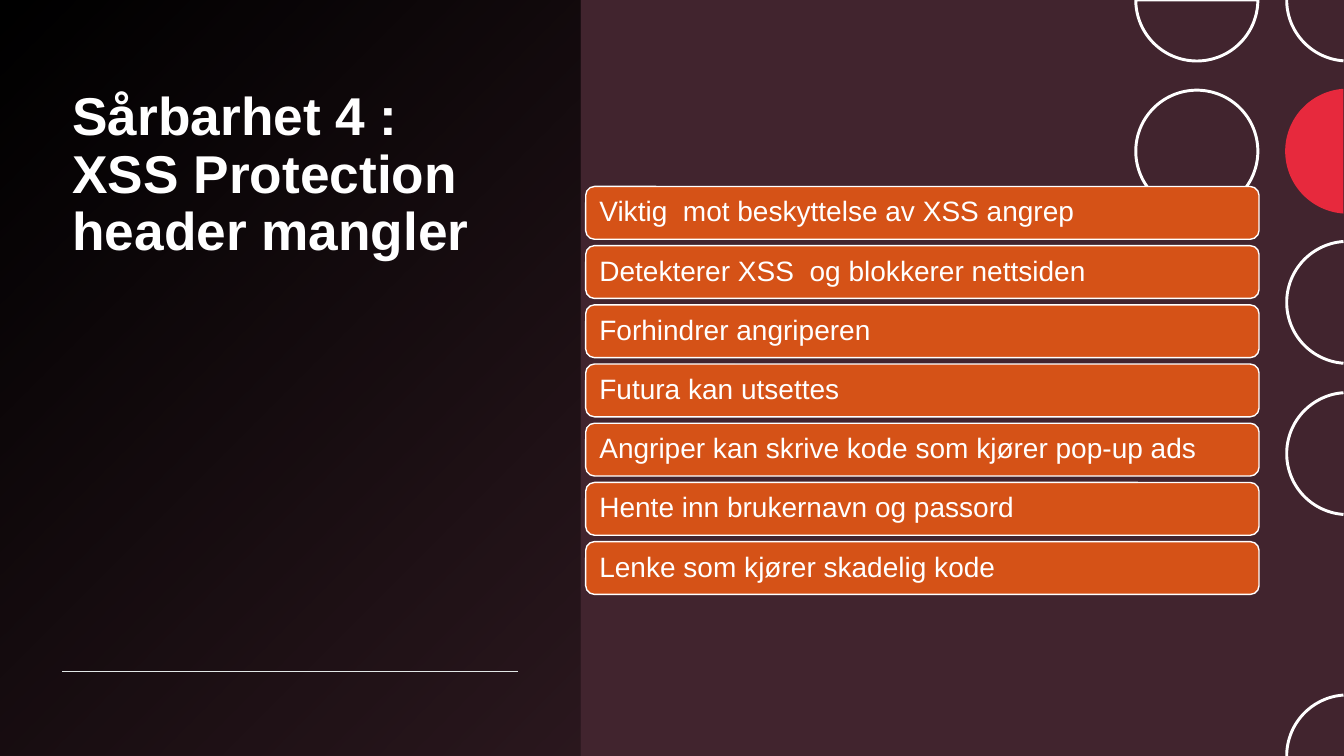
import math

import pptx
import pptx.dml.color
import pptx.enum.shapes
import pptx.enum.text
import pptx.oxml
import pptx.oxml.ns
import pptx.util

PLUM = pptx.dml.color.RGBColor(0x41, 0x24, 0x2E)
RED = pptx.dml.color.RGBColor(0xE7, 0x29, 0x3D)
ORANGE = pptx.dml.color.RGBColor(0xD5, 0x52, 0x17)
WHITE = pptx.dml.color.RGBColor(0xFF, 0xFF, 0xFF)
MIST = pptx.dml.color.RGBColor(0xE2, 0xE8, 0xE7)

PANEL_GRADIENT = """<a:gradFill %s rotWithShape="1"><a:gsLst>
<a:gs pos="0"><a:srgbClr val="000000"/></a:gs>
<a:gs pos="31000"><a:srgbClr val="000000"><a:alpha val="80000"/></a:srgbClr></a:gs>
<a:gs pos="100000"><a:srgbClr val="000000"><a:alpha val="34000"/></a:srgbClr></a:gs>
</a:gsLst><a:path path="circle"><a:fillToRect r="100000" b="100000"/></a:path></a:gradFill>"""

TITLE = "Sårbarhet 4 : XSS Protection header mangler"
POINTS = [
    "Viktig  mot beskyttelse av XSS angrep",
    "Detekterer XSS  og blokkerer nettsiden",
    "Forhindrer angriperen",
    "Futura kan utsettes",
    "Angriper kan skrive kode som kjører pop-up ads",
    "Hente inn brukernavn og passord",
    "Lenke som kjører skadelig kode",
]


class Canvas:
    """Draws styled elements on one slide, measured on a grid of 100 columns by 100 rows."""

    font = "Arial"

    def __init__(self, deck, background):
        self.width, self.height = deck.slide_width, deck.slide_height
        self.page = deck.slides.add_slide(deck.slide_layouts[6])
        self.page.background.fill.solid()
        self.page.background.fill.fore_color.rgb = background

    def columns(self, count):
        return round(self.width * count / 100)

    def rows(self, count):
        return round(self.height * count / 100)

    def area(self, left, top, width, height):
        return self.columns(left), self.rows(top), self.columns(width), self.rows(height)

    def paint(self, shape, fill=None, line=None, weight=1):
        shape.shadow.inherit = False
        if fill is None:
            shape.fill.background()
        else:
            shape.fill.solid()
            shape.fill.fore_color.rgb = fill
        if line is None:
            shape.line.fill.background()
        else:
            shape.line.color.rgb = line
            shape.line.width = pptx.util.Pt(weight)

    def add_wording(self, box, text, size, bold, anchor):
        frame = box.text_frame
        frame.word_wrap = True
        frame.vertical_anchor = anchor
        para = frame.paragraphs[0]
        para.alignment = pptx.enum.text.PP_ALIGN.LEFT
        para.line_spacing = 0.9
        span = para.add_run()
        span.text = text
        span.font.name = self.font
        span.font.size = pptx.util.Pt(size)
        span.font.bold = bold
        span.font.color.rgb = WHITE

    def gradient_panel(self, *cells):
        kind = pptx.enum.shapes.MSO_SHAPE.RECTANGLE
        panel = self.page.shapes.add_shape(kind, *self.area(*cells))
        self.paint(panel)
        no_fill = panel.element.spPr.find(pptx.oxml.ns.qn("a:noFill"))
        gradient = pptx.oxml.parse_xml(PANEL_GRADIENT % pptx.oxml.ns.nsdecls("a"))
        panel.element.spPr.replace(no_fill, gradient)

    def title(self, text, *cells):
        box = self.page.shapes.add_textbox(*self.area(*cells))
        self.add_wording(box, text, 38, True, pptx.enum.text.MSO_ANCHOR.TOP)

    def bar(self, text, *cells):
        kind = pptx.enum.shapes.MSO_SHAPE.ROUNDED_RECTANGLE
        box = self.page.shapes.add_shape(kind, *self.area(*cells))
        self.paint(box, ORANGE, WHITE)
        box.text_frame.margin_left = box.text_frame.margin_right = pptx.util.Inches(0.11)
        self.add_wording(box, text, 20, False, pptx.enum.text.MSO_ANCHOR.MIDDLE)

    def rule(self, left, right, row):
        kind = pptx.enum.shapes.MSO_CONNECTOR.STRAIGHT
        y = self.rows(row)
        line = self.page.shapes.add_connector(kind, self.columns(left), y, self.columns(right), y)
        line.line.color.rgb = MIST
        line.line.width = pptx.util.Pt(1)
        effects = pptx.oxml.parse_xml("<a:effectLst %s/>" % pptx.oxml.ns.nsdecls("a"))
        line.element.spPr.append(effects)

    def circle(self, column, row, radius, fill=None, line=None):
        """Draws the part of a circle that lies within the slide."""
        x, y, reach = self.columns(column), self.rows(row), self.rows(radius)
        angles = [math.radians(degree) for degree in range(0, 361, 2)]
        outline = [(round(x + reach * math.cos(a)), round(y + reach * math.sin(a))) for a in angles]
        visible = [(px, py) for px, py in outline if px <= self.width and 0 <= py <= self.height]
        builder = self.page.shapes.build_freeform(*visible[0])
        builder.add_line_segments(visible[1:], close=fill is not None)
        self.paint(builder.convert_to_shape(), fill, line, 2.1)


def main():
    deck = pptx.Presentation()
    deck.slide_width = pptx.util.Inches(13.33)
    deck.slide_height = pptx.util.Inches(7.5)
    canvas = Canvas(deck, PLUM)

    canvas.gradient_panel(0, 0, 43.2, 100)
    canvas.title(TITLE, 4.65, 11.2, 33.9, 41.73)
    canvas.rule(4.65, 38.55, 88.8)

    inner, outer = 89.05, 100.28
    canvas.circle(outer, 20, 8.27, fill=RED)
    for column, row in [(inner, 0), (inner, 20), (outer, 0), (outer, 40), (outer, 60), (outer, 100)]:
        canvas.circle(column, row, 8.07, line=WHITE)

    for index, point in enumerate(POINTS):
        canvas.bar(point, 43.58, 24.67 + 7.83 * index, 50.1, 6.98)

    deck.save("out.pptx")


if __name__ == "__main__":
    main()
